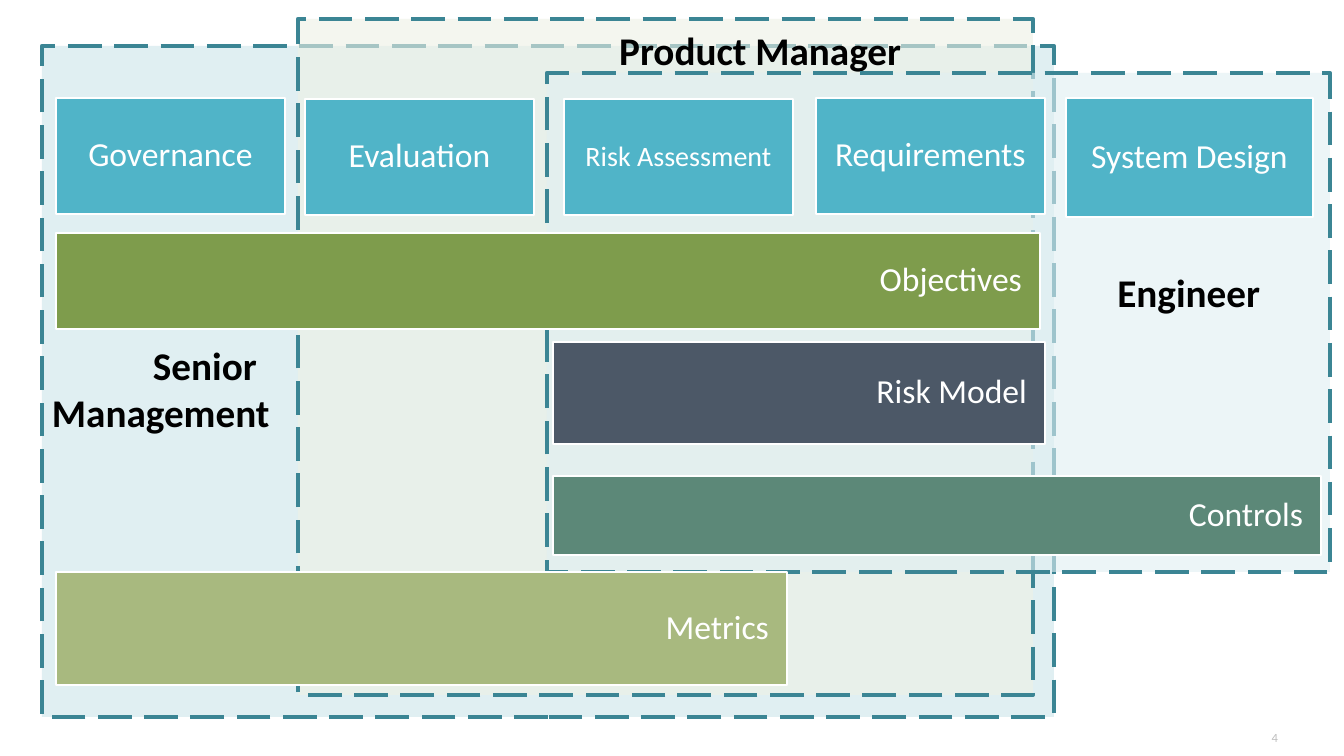
"""Build a slide mapping security activities and deliverables to three overlapping roles."""
import pptx
import pptx.util
import pptx.dml.color
import pptx.enum.dml
import pptx.enum.shapes
import pptx.enum.text
import lxml.etree

PX = 914400 / 100.8
ALIGN = pptx.enum.text.PP_ALIGN
ANCHOR = pptx.enum.text.MSO_ANCHOR
COLORS = {
    "ice": "E0EFF2", "cream": "EEF1E5", "border": "3B8594", "black": "000000",
    "white": "FFFFFF", "activity": "50B4C8", "objectives": "7E9C4C",
    "risk": "4C5867", "controls": "5C8878", "metrics": "A8B97F",
}
ROLES = [
    {"box": (42, 46, 1012, 671), "fill": "ice", "alpha": 100, "lines": ["Senior", "Management"],
     "indents": [101, 0], "align": ALIGN.LEFT, "insets": (10, 295, 0, 0)},
    {"box": (298, 19, 735, 676), "fill": "cream", "alpha": 60, "lines": ["Product Manager"],
     "indents": [0], "align": ALIGN.RIGHT, "insets": (10, 7, 132, 0)},
    {"box": (547, 73, 783, 499), "fill": "ice", "alpha": 60, "lines": ["Engineer"],
     "indents": [0], "align": ALIGN.RIGHT, "insets": (10, 195, 70, 0)},
]
DELIVERABLES = [
    ("Controls", (553, 476, 768, 79), "controls"),
    ("Objectives", (56, 233, 984, 96), "objectives"),
    ("Metrics", (56, 572, 731, 113), "metrics"),
    ("Risk Model", (553, 342, 492, 102), "risk"),
]
ACTIVITIES = [
    ("Governance", (56, 98, 229, 116), 24),
    ("Evaluation", (305, 99, 229, 116), 24),
    ("Risk Assessment", (564, 99, 229, 116), 20),
    ("Requirements", (816, 98, 229, 116), 24),
    ("System Design", (1066, 98, 247, 119), 24),
]
PAGE_NUMBER = ("4", (1052, 666, 236, 84))
ROLE_LINE = {"width": pptx.util.Pt(3), "dash_style": pptx.enum.dml.MSO_LINE.LONG_DASH}
CARD_LINE = {"width": pptx.util.Pt(1)}
MARGINS = ("margin_left", "margin_top", "margin_right", "margin_bottom")


def px(length):
    return pptx.util.Emu(round(length * PX))


def apply(target, values):
    for key, value in values.items():
        setattr(target, key, value)


def rgb(name):
    return pptx.dml.color.RGBColor.from_string(COLORS[name])


def paint(fill, color, alpha=100):
    fill.solid()
    fill.fore_color.rgb = rgb(color)
    if alpha < 100:
        node = fill._xPr.find(".//" + pptx.oxml.ns.qn("a:srgbClr"))
        lxml.etree.SubElement(node, pptx.oxml.ns.qn("a:alpha")).set("val", str(alpha * 1000))


def add_box(slide, box, fill, line_color, line_format, alpha=100):
    rect = slide.shapes.add_shape(pptx.enum.shapes.MSO_SHAPE.RECTANGLE, *map(px, box))
    rect.shadow.inherit = False
    paint(rect.fill, fill, alpha)
    paint(rect.line.fill, line_color)
    apply(rect.line, line_format)
    return rect


def write(shape, lines, size, color, align, anchor, insets, alpha=100, bold=False, spacing=1.0):
    frame = shape.text_frame
    apply(frame, {"word_wrap": True, "vertical_anchor": anchor})
    apply(frame, dict(zip(MARGINS, map(px, insets))))
    frame.text = "\n".join(lines)
    for paragraph in frame.paragraphs:
        apply(paragraph, {"alignment": align, "line_spacing": spacing})
        font = paragraph.runs[0].font
        apply(font, {"name": "Calibri", "size": pptx.util.Pt(size), "bold": bold})
        paint(font.fill, color, alpha)
    return frame


def add_card(slide, label, box, fill, size, align):
    card = add_box(slide, box, fill, "white", CARD_LINE)
    write(card, [label], size, "white", align, ANCHOR.MIDDLE, (18, 18, 18, 18), spacing=0.9)


deck = pptx.Presentation()
apply(deck, {"slide_width": px(1344), "slide_height": px(756)})
slide = deck.slides.add_slide(deck.slide_layouts[6])

for role in ROLES:
    zone = add_box(slide, role["box"], role["fill"], "border", ROLE_LINE, role["alpha"])
    frame = write(zone, role["lines"], 28, "black", role["align"], ANCHOR.TOP,
                  role["insets"], bold=True)
    for paragraph, indent in zip(frame.paragraphs, role["indents"]):
        paragraph._p.get_or_add_pPr().set("marL", str(px(indent)))

number, number_box = PAGE_NUMBER
write(slide.shapes.add_textbox(*map(px, number_box)), [number], 9, "black",
      ALIGN.RIGHT, ANCHOR.BOTTOM, (10, 5, 10, 5), alpha=25)

for label, box, fill in DELIVERABLES:
    add_card(slide, label, box, fill, 24, ALIGN.RIGHT)
for label, box, size in ACTIVITIES:
    add_card(slide, label, box, "activity", size, ALIGN.CENTER)

deck.save("out.pptx")
